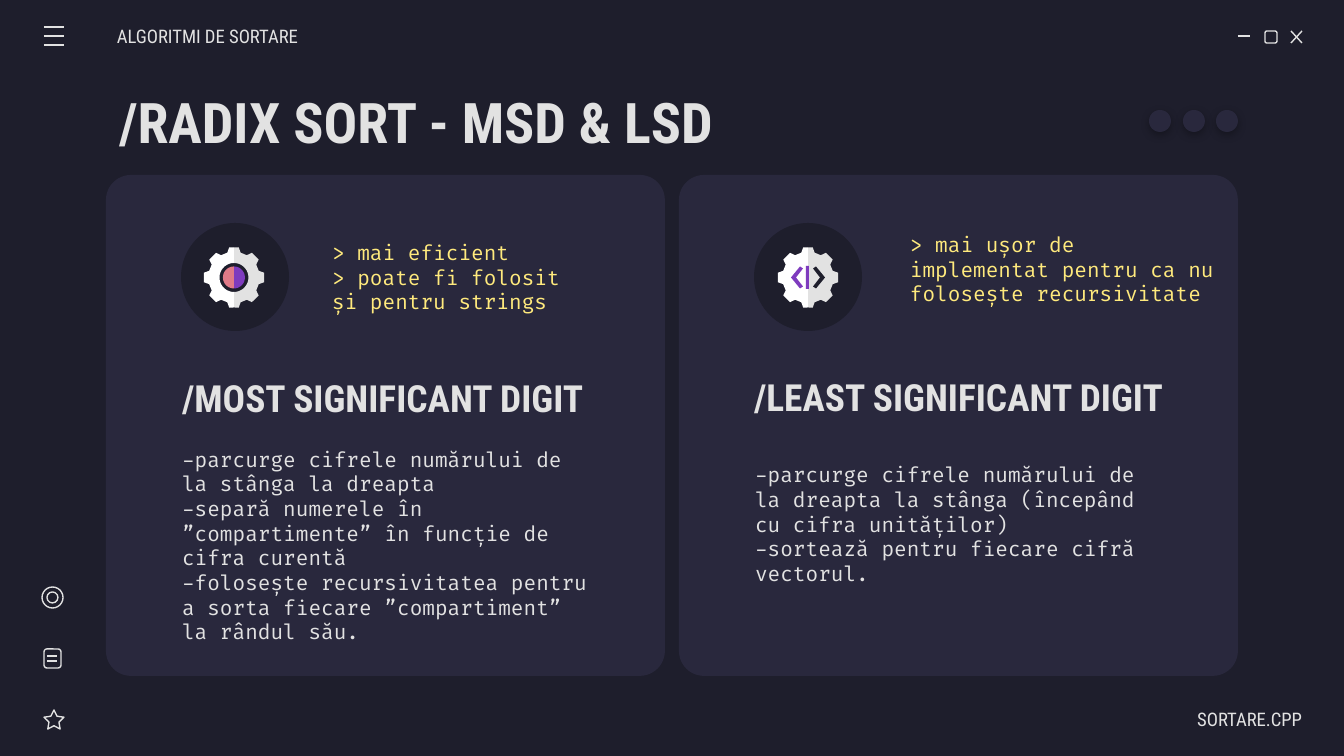
from dataclasses import dataclass
from math import cos, radians, sin

from lxml.etree import SubElement
from pptx import Presentation
from pptx.dml.color import RGBColor as Rgb
from pptx.enum.shapes import MSO_CONNECTOR as Link, MSO_SHAPE as Kind
from pptx.enum.text import MSO_ANCHOR as Anchor, PP_ALIGN as Align
from pptx.oxml.ns import qn
from pptx.util import Pt

UNIT = 914400 / 134.4
PAD = 13


@dataclass(frozen=True)
class Theme:
    back: str = "1E1E2C"
    card: str = "29283D"
    ink: str = "E2E2E2"
    note: str = "FFEA7D"
    white: str = "FFFFFF"
    plum: str = "7E3BBE"
    rose: str = "E07A88"
    head: str = "Roboto Condensed"
    code: str = "Fira Code"
    title: int = 30
    sub: int = 20
    body: int = 11
    small: int = 10
    line: float = 0.75


T = Theme()
TITLE = "/RADIX SORT - MSD & LSD"
LABELS = [
    ("ALGORITMI DE SORTARE", (117, 16, 376, 40), Align.LEFT, (0, PAD)),
    ("SORTARE.CPP", (1145, 699, 157, 40), Align.RIGHT, (PAD, 0)),
]
CARDS = [
    dict(
        x=106, hub=234, disc=181,
        head="/MOST SIGNIFICANT DIGIT", head_box=(169, 363, 433, 69), inset=PAD,
        note=["> mai eficient", "> poate fi folosit și pentru strings"],
        note_box=(319, 227, 284, 102),
        body=["-parcurge cifrele numărului de la stânga la dreapta",
              "-separă numerele în ”compartimente” în funcție de cifra curentă",
              "-folosește recursivitatea pentru a sorta fiecare ”compartiment” la rândul său."],
        body_box=(169, 430, 433, 231),
    ),
    dict(
        x=679, hub=808, disc=754,
        head="/LEAST SIGNIFICANT DIGIT", head_box=(754, 377, 433, 40), inset=0,
        note=["> mai ușor de implementat pentru ca nu folosește recursivitate"],
        note_box=(897, 219, 341, 102),
        body=["-parcurge cifrele numărului de la dreapta la stânga (începând cu cifra unităților)",
              "-sortează pentru fiecare cifră vectorul."],
        body_box=(742, 430, 433, 188),
    ),
]
LINES = [
    (1238, 36, 1250, 36), (1291, 31, 1302, 43), (1302, 31, 1291, 43),
    *[(44, y, 64, y) for y in (27, 36, 45)],
    *[(47, y, 57, y) for y in (656, 661)],
]
ICONS = [
    (Kind.ROUNDED_RECTANGLE, (1265, 31, 12, 12), ()),
    (Kind.STAR_5_POINT, (44, 710, 20, 19), (0.25, 1.05, 1.11)),
    (Kind.ROUNDED_RECTANGLE, (44, 649, 17, 19), ()),
    (Kind.OVAL, (42, 587, 21, 21), ()),
    (Kind.OVAL, (47, 592, 11, 11), ()),
]
DOTS = [1149, 1183, 1216]
ARROW = [(8, -11), (17, 0), (8, 11), (5, 9), (12, 0), (5, -9)]
MID = 277.5


def emu(*nums):
    return [round(n * UNIT) for n in nums]


def paint(shape, color):
    shape.shadow.inherit = False
    shape.fill.solid()
    shape.fill.fore_color.rgb = Rgb.from_string(color)
    shape.line.fill.background()
    return shape


def stroke(line):
    line.color.rgb = Rgb.from_string(T.ink)
    line.width = Pt(T.line)


def form(kind, box, color=None, adjust=()):
    shape = shapes.add_shape(kind, *emu(*box))
    for i, value in enumerate(adjust):
        shape.adjustments[i] = value
    if color:
        return paint(shape, color)
    shape.shadow.inherit = False
    shape.fill.background()
    stroke(shape.line)
    return shape


def rule(ends):
    link = shapes.add_connector(Link.STRAIGHT, *emu(*ends))
    stroke(link.line)
    SubElement(link._element.spPr, qn("a:effectLst"))


def write(shape, paras, font, size, color=T.ink, bold=False,
          align=Align.LEFT, anchor=Anchor.MIDDLE, sides=(PAD, PAD)):
    frame = shape.text_frame
    frame.word_wrap = True
    frame.vertical_anchor = anchor
    frame.margin_left, frame.margin_right = emu(*sides)
    frame.margin_top, frame.margin_bottom = emu(PAD, PAD)
    frame.text = "\n".join(paras)
    for para in frame.paragraphs:
        para.alignment = align
        para.font.name = font
        para.font.size = Pt(size)
        para.font.bold = bold
        para.font.color.rgb = Rgb.from_string(color)


def text(box, *args, **opts):
    write(shapes.add_textbox(*emu(*box)), *args, **opts)


def trace(hub, points, color):
    spots = [emu(hub + x, MID + y) for x, y in points]
    pen = shapes.build_freeform(*spots[0], scale=1.0)
    pen.add_line_segments(spots[1:], close=True)
    paint(pen.convert_to_shape(), color)


def polar(turn, radius):
    return radius * sin(radians(turn)), -radius * cos(radians(turn))


def arc(radius):
    return [polar(turn, radius) for turn in range(0, 181, 10)]


def teeth(hole):
    edge = [(0, 30)]
    for tooth in range(0, 181, 45):
        edge += [(tooth + turn, radius)
                 for turn, radius in ((-15, 25.7), (-9, 30.5), (9, 30.5), (15, 25.7))
                 if 0 < tooth + turn < 180]
    edge.append((180, 30))
    points = [polar(*spot) for spot in edge]
    return points + arc(hole)[::-1] if hole else points


def flip(points):
    return [(-x, y) for x, y in points]


def gear(hub, hole):
    half = teeth(hole)
    trace(hub, half, T.ink)
    trace(hub, flip(half), T.white)


deck = Presentation()
deck.slide_width, deck.slide_height = emu(1344, 756)
slide = deck.slides.add_slide(deck.slide_layouts[5])
slide.background.fill.solid()
slide.background.fill.fore_color.rgb = Rgb.from_string(T.back)
shapes = slide.shapes

title = shapes.title
title.left, title.top, title.width, title.height = emu(106, 79, 1133, 85)
write(title, [TITLE], T.head, T.title, bold=True)

for card in CARDS:
    form(Kind.ROUNDED_RECTANGLE, (card["x"], 175, 559, 501), T.card, (0.05,))
    form(Kind.OVAL, (card["disc"], 223, 108, 108), T.back)
    text(card["head_box"], [card["head"]], T.head, T.sub, bold=True,
         sides=(card["inset"], PAD))
    text(card["note_box"], card["note"], T.code, T.body, T.note, anchor=Anchor.TOP)
    text(card["body_box"], card["body"], T.code, T.body)

left, right = (card["hub"] for card in CARDS)
gear(left, 14.5)
trace(left, arc(11), T.plum)
trace(left, flip(arc(11)), T.rose)
gear(right, 0)
trace(right, flip(ARROW), T.plum)
trace(right, ARROW, T.back)
form(Kind.RECTANGLE, (right - 2, 266, 3, 23), T.plum)

for ends in LINES:
    rule(ends)
for kind, box, adjust in ICONS:
    form(kind, box, adjust=adjust)
for x in DOTS:
    dot = form(Kind.OVAL, (x, 110, 22, 22), T.card)
    effect = dot._element.spPr.find(qn("a:effectLst"))
    shade = SubElement(effect, qn("a:outerShdw"), blurRad=str(Pt(4.5)),
                       dist=str(Pt(1.5)), dir="5400000", rotWithShape="0")
    tint = SubElement(shade, qn("a:srgbClr"), val="000000")
    SubElement(tint, qn("a:alpha"), val="30000")
for words, box, align, sides in LABELS:
    text(box, [words], T.head, T.small, align=align, sides=sides)

deck.save("out.pptx")
